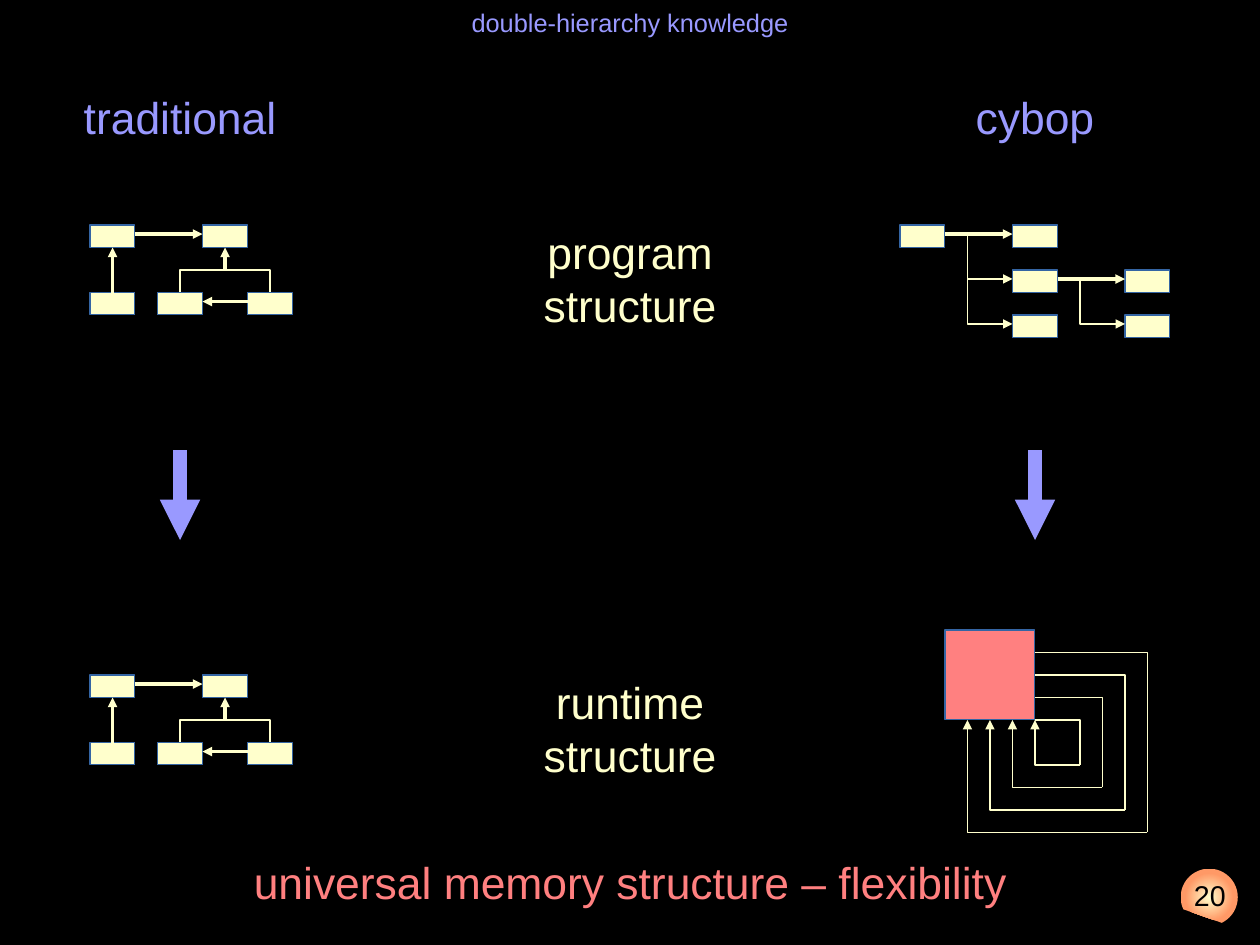
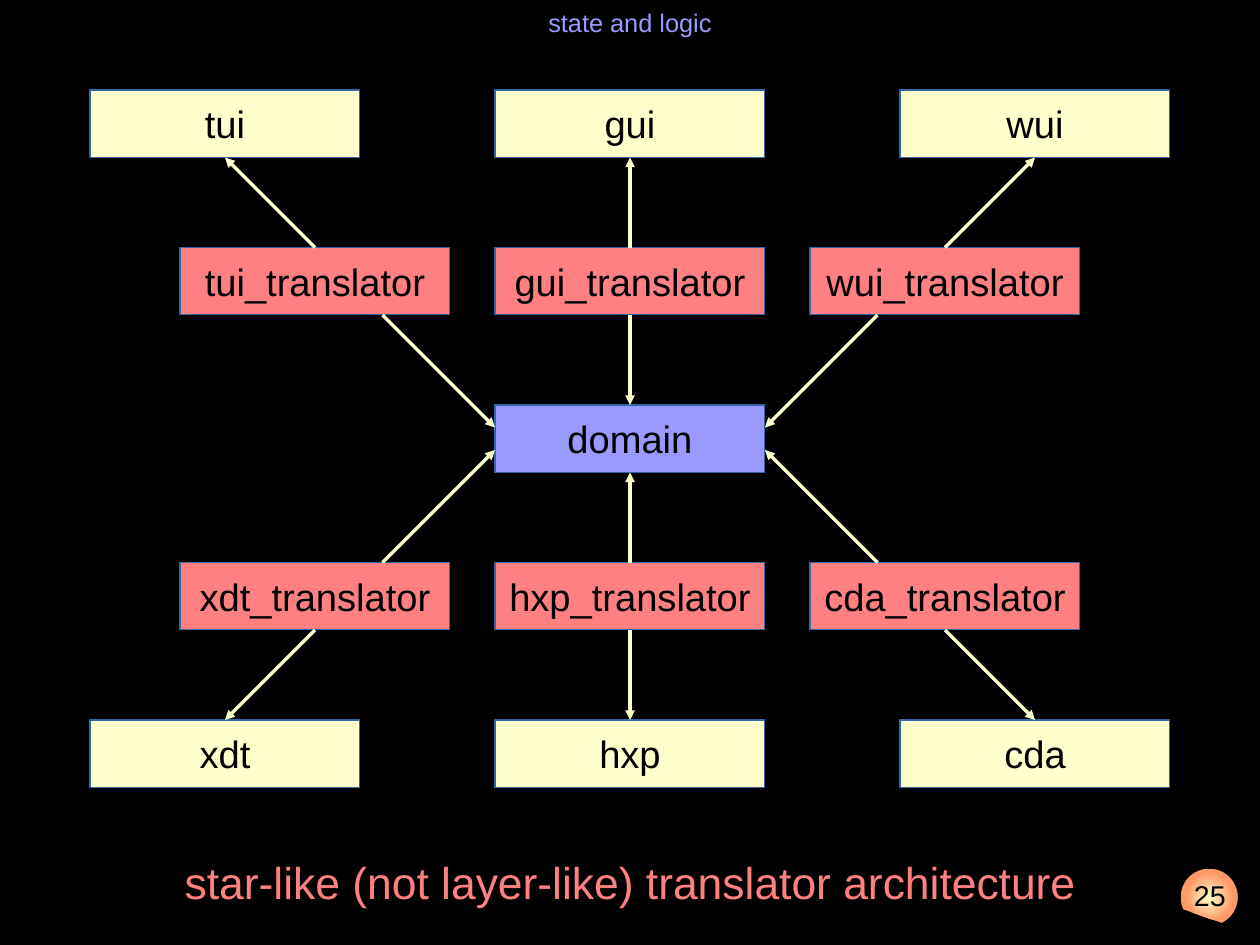
from pptx import Presentation
from pptx import util as u
from pptx.dml import color as c
from pptx.enum import shapes as es, text as et
from pptx.oxml import ns
from lxml import etree

HUES = {
    "black": "000000", "white": "FFFFFF", "cream": "FFFFCC", "lilac": "9999FF",
    "coral": "FF8080", "edge": "3465A4", "peach": "FF9966",
}
FONT = "Arial"
STEP = 5 / 25.4
WIDE, HIGH = 56, 42


def hue(name):
    return c.RGBColor.from_string(HUES[name])


def grid(*units):
    return [u.Inches(n * STEP) for n in units]


def node(parent, tag, **attrs):
    return etree.SubElement(parent, ns.qn("a:" + tag), attrs)


def write(shape, words, size, tint, anchor=et.MSO_ANCHOR.TOP):
    frame = shape.text_frame
    frame.text = words
    frame.word_wrap = True
    frame.auto_size = et.MSO_AUTO_SIZE.NONE
    frame.vertical_anchor = anchor
    frame.margin_left = frame.margin_right = 0
    frame.margin_top = frame.margin_bottom = 0
    for para in frame.paragraphs:
        para.alignment = et.PP_ALIGN.CENTER
        for run in para.runs:
            run.font.name = FONT
            run.font.size = u.Pt(size)
            run.font.color.rgb = hue(tint)


def label(slide, box, words, size, tint):
    shape = slide.shapes.add_textbox(*grid(*box))
    write(shape, words, size, tint)
    return shape


def block(slide, box, tint, words=""):
    shape = slide.shapes.add_shape(es.MSO_SHAPE.RECTANGLE, *grid(*box))
    shape.shadow.inherit = False
    shape.fill.solid()
    shape.fill.fore_color.rgb = hue(tint)
    shape.line.color.rgb = hue("edge")
    shape.line.width = u.Pt(0)
    if words:
        write(shape, words, 24, "black", et.MSO_ANCHOR.MIDDLE)


def trace(slide, points, tip=True, tint="cream", width=0):
    spots = [grid(*p) for p in points]
    if len(spots) == 2:
        shape = slide.shapes.add_connector(
            es.MSO_CONNECTOR.STRAIGHT, *spots[0], *spots[1])
    else:
        pen = slide.shapes.build_freeform(*spots[0])
        pen.add_line_segments(spots[1:], close=False)
        shape = pen.convert_to_shape()
        shape.fill.background()
    shape.line.color.rgb = hue(tint)
    shape.line.width = u.Pt(width)
    props = shape.element.spPr
    if tip:
        node(props.find(ns.qn("a:ln")), "tailEnd", type="triangle")
    node(props, "effectLst")


def shift(points, left, top):
    return [(left + x, top + y) for x, y in points]


def badge(slide, number):
    disc = slide.shapes.add_shape(
        es.MSO_SHAPE.CHORD, *map(u.Inches, (10.33, 7.6, 0.5, 0.5)))
    disc.shadow.inherit = False
    disc.adjustments[0] = 92.97
    disc.adjustments[1] = 38.29
    disc.line.fill.background()
    disc.fill.gradient()
    stops = zip(disc.fill.gradient_stops, ("cream", "peach"), (0, 0.6))
    for stop, tint, place in stops:
        stop.color.rgb = hue(tint)
        stop.position = place
    grad = disc.element.spPr.find(ns.qn("a:gradFill"))
    grad.remove(grad.find(ns.qn("a:lin")))
    ring = node(grad, "path", path="circle")
    node(ring, "fillToRect", l="50000", t="50000", r="50000", b="50000")
    spot = slide.shapes.add_textbox(*map(u.Inches, (10.31, 7.68, 0.55, 0.39)))
    write(spot, str(number), 18, "black")


def claim(slide, words):
    shape = slide.shapes.add_textbox(*grid(4, 38, 48, 3))
    para = shape.text_frame.paragraphs[0]
    props = para._p.get_or_add_pPr()
    props.set("marL", str(u.Inches(0.47)))
    props.set("indent", str(u.Inches(-0.24)))
    node(node(props, "buClr"), "srgbClr", val=HUES["white"])
    node(props, "buSzPct", val="45000")
    node(props, "buChar", char="●")
    write(shape, words, 28, "coral")


def start(prs, title, number, words):
    slide = prs.slides.add_slide(prs.slide_layouts[5])
    head = slide.shapes.title
    head.left, head.top, head.width, head.height = grid(0, 0, WIDE, 2)
    write(head, title, 16, "lilac", et.MSO_ANCHOR.MIDDLE)
    badge(slide, number)
    claim(slide, words)
    return slide


def graph(slide, left, top, cells, arrows):
    for x, y in cells:
        block(slide, (left + x, top + y, 2, 1), "cream")
    for points in arrows:
        trace(slide, shift(points, left, top))


def web(slide, left, top):
    graph(slide, left, top,
          [(0, 0), (5, 0), (0, 3), (3, 3), (7, 3)],
          [[(2, 0.4), (5, 0.4)], [(7, 3.4), (5, 3.4)],
           [(6, 2), (6, 1)], [(1, 3), (1, 1)]])
    fork = [(4, 3), (4, 2), (8, 2), (8, 3)]
    trace(slide, shift(fork, left, top), tip=False)


def tree(slide, left, top):
    graph(slide, left, top,
          [(0, 0), (5, 0), (5, 2), (5, 4), (10, 2), (10, 4)],
          [[(2, 0.4), (5, 0.4)], [(7, 2.4), (10, 2.4)],
           [(3, 0.4), (3, 2.4), (5, 2.4)],
           [(3, 0.4), (3, 4.4), (5, 4.4)],
           [(8, 2.4), (8, 4.4), (10, 4.4)]])


def memory(slide, left, top):
    block(slide, (left, top, 4, 4), "coral")
    for near in range(1, 5):
        far = 10 - near
        out = [(4, near), (far, near), (far, far)]
        back = [(far, far), (near, far), (near, 4)]
        trace(slide, shift(out, left, top), tip=False)
        trace(slide, shift(back, left, top))


def models(prs):
    slide = start(prs, "double-hierarchy knowledge", 20,
                  "universal memory structure – flexibility")
    for left, words in ((2, "traditional"), (40, "cybop")):
        label(slide, (left, 4, 12, 3), words, 28, "lilac")
        mid = left + 6
        trace(slide, [(mid, 20), (mid, 24)], tint="lilac", width=8.5)
    for top, words in ((10, "program\nstructure"), (30, "runtime\nstructure")):
        label(slide, (22, top, 12, 6), words, 28, "cream")
        web(slide, 4, top)
    tree(slide, 40, 10)
    memory(slide, 42, 28)


def star(prs):
    slide = start(prs, "state and logic", 25,
                  "star-like (not layer-like) translator architecture")
    wide, high, hub = 12, 3, 18
    block(slide, (22, hub, wide, high), "lilac", "domain")
    rows = ((4, 11, ("tui", "gui", "wui")), (32, 25, ("xdt", "hxp", "cda")))
    for outer, inner, names in rows:
        for name, far, near in zip(names, (4, 22, 40), (8, 22, 36)):
            block(slide, (far, outer, wide, high), "cream", name)
            block(slide, (near, inner, wide, high), "coral", name + "_translator")
    side = [[(14, 11), (10, 7)], [(17, 14), (22, 19)]]
    mid = [[(28, 11), (28, 7)], [(28, 14), (28, hub)]]
    right = [[(WIDE - x, y) for x, y in ray] for ray in side]
    for ray in side + mid + right:
        trace(slide, ray)
        trace(slide, [(x, 2 * hub + high - y) for x, y in ray])


def main():
    prs = Presentation()
    prs.slide_width, prs.slide_height = grid(WIDE, HIGH)
    back = prs.slide_master.background.fill
    back.solid()
    back.fore_color.rgb = hue("black")
    models(prs)
    star(prs)
    prs.save("out.pptx")


if __name__ == "__main__":
    main()
